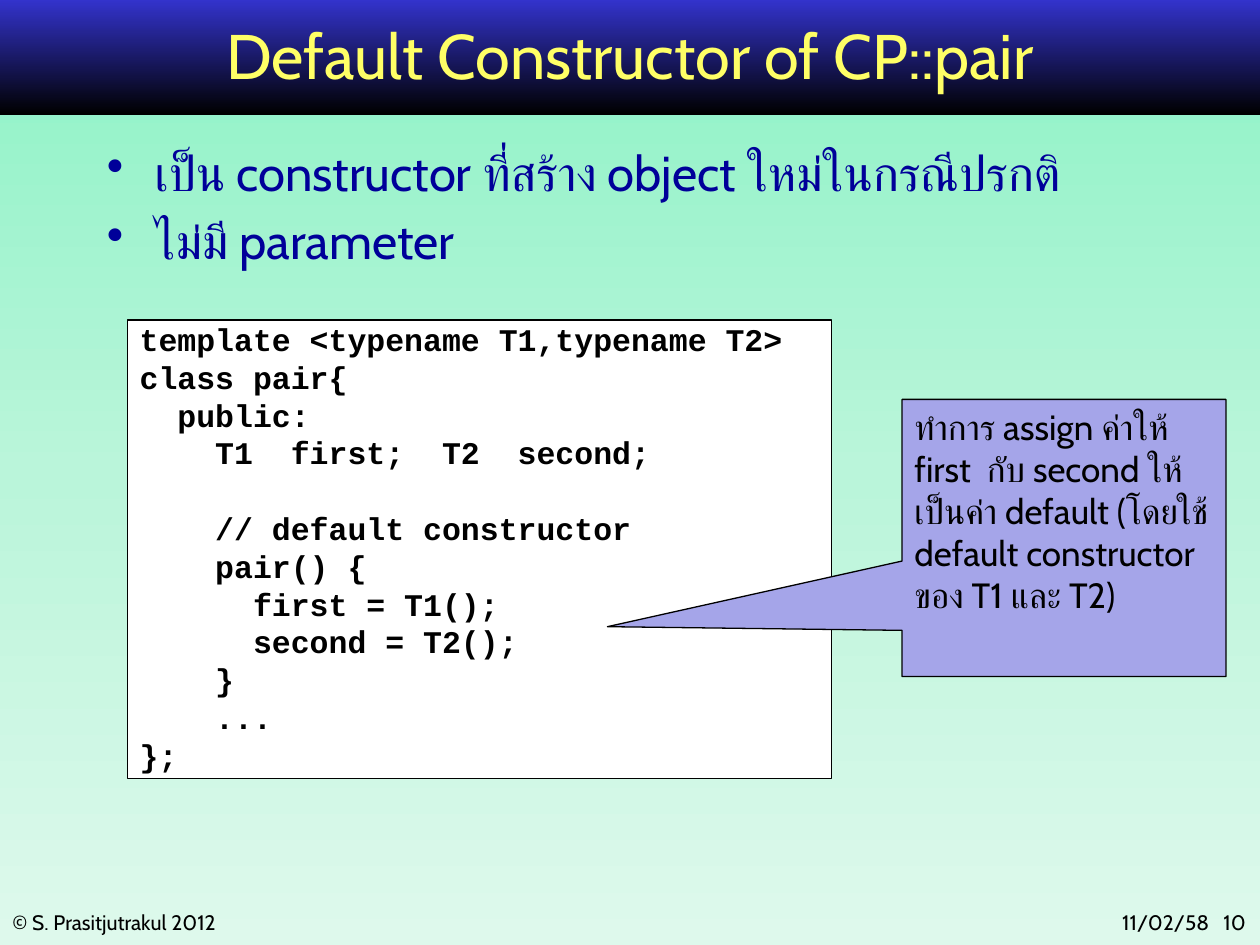
import copy

import lxml.etree
import pptx
import pptx.dml.color
import pptx.enum.shapes
import pptx.enum.text
import pptx.oxml.ns
import pptx.util

Inches = pptx.util.Inches
Pt = pptx.util.Pt
RGBColor = pptx.dml.color.RGBColor
ALIGN = pptx.enum.text.PP_ALIGN
ANCHOR = pptx.enum.text.MSO_ANCHOR
SHAPE = pptx.enum.shapes.MSO_SHAPE
qn = pptx.oxml.ns.qn

BLACK = RGBColor(0x00, 0x00, 0x00)
WHITE = RGBColor(0xFF, 0xFF, 0xFF)
BANNER_BLUE = RGBColor(0x33, 0x33, 0xCC)
TITLE_YELLOW = RGBColor(0xFF, 0xFF, 0x66)
BODY_BLUE = RGBColor(0x00, 0x00, 0x99)
CALLOUT_LILAC = RGBColor(0xA5, 0xA5, 0xE9)
MINT = RGBColor(0x8C, 0xF2, 0xC6)
LIGHT_MINT = RGBColor(0xBA, 0xF5, 0xDA)
PALE_MINT = RGBColor(0xDE, 0xF9, 0xEC)

BODY_FONT = "Cabin"
CODE_FONT = "Courier New"

BULLETS = [
    "เป็น constructor ที่สร้าง object ใหม่ในกรณีปรกติ",
    "ไม่มี parameter",
]
CODE = """template <typename T1,typename T2>
class pair{
  public:
    T1  first;  T2  second;
    
    // default constructor
    pair() {
      first = T1();
      second = T2();
    }
    ...
};"""
CALLOUT = (
    "ทำการ assign ค่าให้ first  กับ second ให้เป็นค่า default "
    "(โดยใช้ default constructor ของ T1 และ T2)"
)


def fill_gradient(fill, colors):
    """Fill from top to bottom with evenly spaced colours."""
    fill.gradient()
    fill.gradient_angle = 270
    stop_list = fill._fill._gradFill.find(qn("a:gsLst"))
    for _ in colors[2:]:
        stop_list.append(copy.deepcopy(stop_list[-1]))
    for index, (stop, color) in enumerate(zip(fill.gradient_stops, colors)):
        stop.position = index / (len(colors) - 1)
        stop.color.rgb = color


def add_run(paragraph, text, size, color, font=BODY_FONT, bold=False):
    """Add one styled run, with the same font for Latin and Thai."""
    run = paragraph.add_run()
    run.text = text
    run.font.size = Pt(size)
    run.font.color.rgb = color
    run.font.name = font
    run.font.bold = bold
    complex_font = lxml.etree.SubElement(run.font._element, qn("a:cs"))
    complex_font.set("typeface", font)


def add_text_box(slide, left, top, width, height):
    """Add an empty wrapping text box and return its text frame."""
    box = slide.shapes.add_textbox(Inches(left), Inches(top), Inches(width), Inches(height))
    box.text_frame.word_wrap = True
    return box.text_frame


def add_panel(slide, kind, left, top, width, height, color):
    """Add a flat, thinly outlined shape with top-left text."""
    shape = slide.shapes.add_shape(kind, Inches(left), Inches(top), Inches(width), Inches(height))
    shape.shadow.inherit = False
    shape.fill.solid()
    shape.fill.fore_color.rgb = color
    shape.line.color.rgb = BLACK
    shape.line.width = Pt(0.75)
    shape.text_frame.word_wrap = True
    shape.text_frame.vertical_anchor = ANCHOR.TOP
    return shape


def add_banner(slide, left, top, width, height):
    """Draw the gradient banner and its centred title."""
    banner = slide.shapes.add_shape(
        SHAPE.RECTANGLE, Inches(left), Inches(top), Inches(width), Inches(height)
    )
    banner.shadow.inherit = False
    banner.line.fill.background()
    fill_gradient(banner.fill, [BANNER_BLUE, BLACK])
    frame = add_text_box(slide, left + 0.75, top + 0.02, width - 1.5, height - 0.08)
    frame.vertical_anchor = ANCHOR.MIDDLE
    paragraph = frame.paragraphs[0]
    paragraph.alignment = ALIGN.CENTER
    add_run(paragraph, "Default Constructor of CP::pair", 36, TITLE_YELLOW)


def add_bullets(slide, left, top, width, height):
    """Write the bulleted statements."""
    frame = add_text_box(slide, left, top, width, height)
    for index, text in enumerate(BULLETS):
        paragraph = frame.add_paragraph() if index else frame.paragraphs[0]
        properties = paragraph._p.get_or_add_pPr()
        properties.set("marL", str(Inches(0.38)))
        properties.set("indent", str(-Inches(0.38)))
        lxml.etree.SubElement(properties, qn("a:buChar")).set("char", "•")
        if index:
            paragraph.space_before = Pt(5.6)
        add_run(paragraph, text, 28, BODY_BLUE)


def add_code(slide, left, top, width, height):
    """Write the class listing in a white panel."""
    panel = add_panel(slide, SHAPE.RECTANGLE, left, top, width, height, WHITE)
    frame = panel.text_frame
    frame.margin_top = frame.margin_bottom = 0
    for index, line in enumerate(CODE.split("\n")):
        paragraph = frame.add_paragraph() if index else frame.paragraphs[0]
        paragraph.alignment = ALIGN.LEFT
        add_run(paragraph, line, 18, BLACK, CODE_FONT, True)


def add_callout(slide, left, top, width, height):
    """Draw the callout pointing at the constructor body."""
    callout = add_panel(
        slide, SHAPE.RECTANGULAR_CALLOUT, left, top, width, height, CALLOUT_LILAC
    )
    callout.adjustments[0] = -1.41
    callout.adjustments[1] = 0.32
    paragraph = callout.text_frame.paragraphs[0]
    paragraph.alignment = ALIGN.LEFT
    add_run(paragraph, CALLOUT, 20, BLACK)


def add_footer(slide, left, top, width, height):
    """Write the copyright line at left, the date and page number at right."""
    frame = add_text_box(slide, left, top, 3.25, height)
    add_run(frame.paragraphs[0], "© S. Prasitjutrakul 2012", 12, BLACK)
    date_width = 2.17
    frame = add_text_box(slide, left + width - date_width, top, date_width, height)
    paragraph = frame.paragraphs[0]
    tab_list = lxml.etree.SubElement(paragraph._p.get_or_add_pPr(), qn("a:tabLst"))
    for position in (1.67, 1.96):
        tab = lxml.etree.SubElement(tab_list, qn("a:tab"))
        tab.set("pos", str(Inches(position)))
        tab.set("algn", "r")
    add_run(paragraph, "\t11/02/58\t10", 12, BLACK)


def main():
    """Build the slide and save it."""
    presentation = pptx.Presentation()
    presentation.slide_width = Inches(10)
    presentation.slide_height = Inches(7.5)
    slide = presentation.slides.add_slide(presentation.slide_layouts[6])
    fill_gradient(slide.background.fill, [MINT, LIGHT_MINT, PALE_MINT])
    add_banner(slide, 0, 0, 10, 0.91)
    add_footer(slide, 0, 7.17, 10, 0.3)
    add_bullets(slide, 0.75, 1.08, 8.5, 5.58)
    add_code(slide, 1.01, 2.54, 5.59, 3.64)
    add_callout(slide, 7.16, 3.17, 2.57, 2.2)
    presentation.save("out.pptx")


if __name__ == "__main__":
    main()
